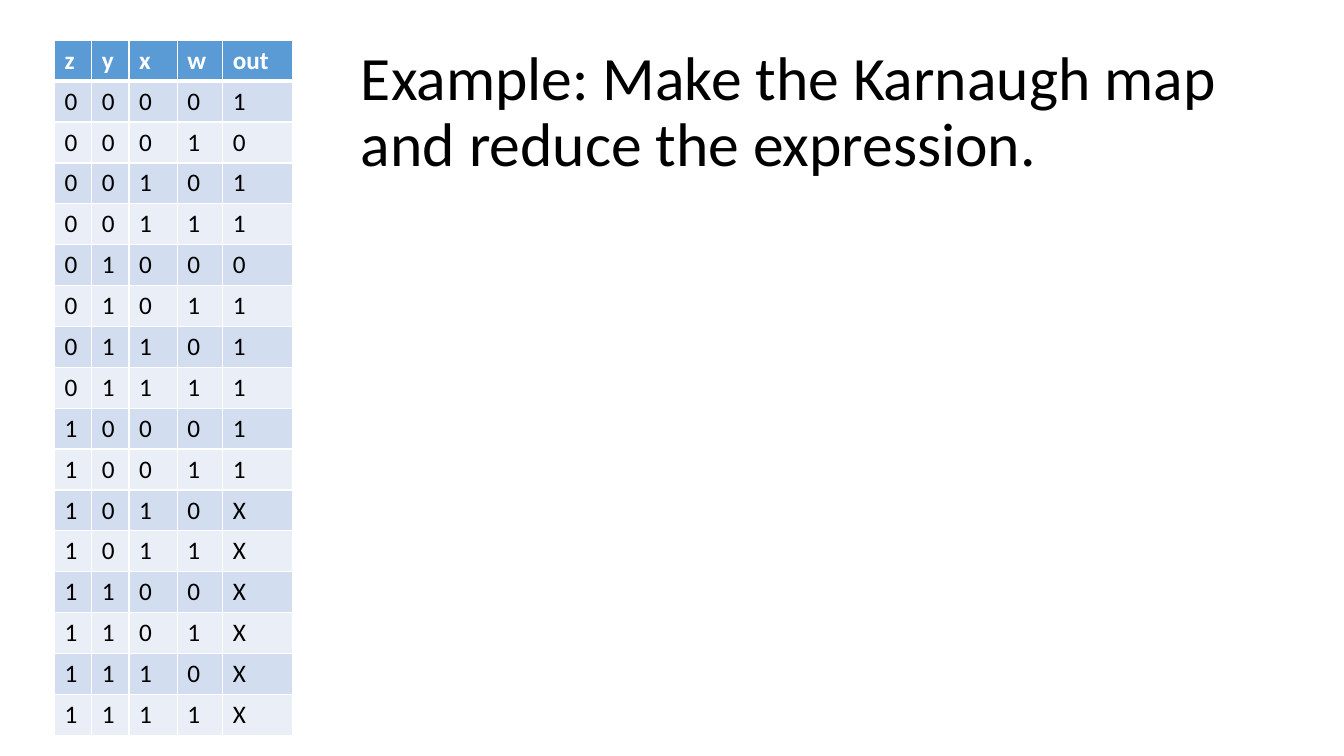
from itertools import product
from lxml.etree import SubElement
from pptx import Presentation
from pptx.dml.color import RGBColor
from pptx.enum.text import MSO_ANCHOR, MSO_AUTO_SIZE, PP_ALIGN
from pptx.oxml.ns import qn
from pptx.util import Inches, Pt

TITLE = "Example: Make the Karnaugh map and reduce the expression."
HEADERS = ["z", "y", "x", "w", "out"]
OUTPUTS = "1011011111XXXXXX"
COLUMN_WIDTHS = [0.37, 0.37, 0.48, 0.45, 0.69]
ROW_HEIGHT = 0.4
HEADER_FILL = "5B9BD5"
BAND_FILLS = ["EAEFF7", "D2DEEF"]
WHITE, BLACK = "FFFFFF", "000000"

truth_rows = [HEADERS] + [
    [*inputs, output] for inputs, output in zip(product("01", repeat=4), OUTPUTS)
]


def color(hex_value):
    return RGBColor.from_string(hex_value)


def format_text(text_frame, size, hex_value, bold=False):
    for paragraph in text_frame.paragraphs:
        for run in paragraph.runs:
            run.font.name = "Calibri"
            run.font.size = Pt(size)
            run.font.bold = bold
            run.font.color.rgb = color(hex_value)


def add_borders(cell, widths):
    properties = cell._tc.get_or_add_tcPr()
    for side in "LRTB":
        line = SubElement(properties, qn(f"a:ln{side}"), w=str(Pt(widths.get(side, 1))))
        fill = SubElement(line, qn("a:solidFill"))
        SubElement(fill, qn("a:srgbClr"), val=WHITE)


presentation = Presentation()
presentation.slide_width = Inches(13.33)
presentation.slide_height = Inches(7.5)
slide = presentation.slides.add_slide(presentation.slide_layouts[5])

title = slide.shapes.title
title.left, title.top = Inches(3.48), Inches(0.4)
title.width, title.height = Inches(8.94), Inches(1.45)
title.text_frame.text = TITLE
title.text_frame.word_wrap = True
title.text_frame.auto_size = MSO_AUTO_SIZE.NONE
title.text_frame.vertical_anchor = MSO_ANCHOR.MIDDLE
title.text_frame.paragraphs[0].alignment = PP_ALIGN.LEFT
title.text_frame.paragraphs[0].line_spacing = 0.9
format_text(title.text_frame, 44, BLACK)

truth_table = slide.shapes.add_table(
    len(truth_rows), len(HEADERS), Inches(0.54), Inches(0.4),
    Inches(sum(COLUMN_WIDTHS)), Inches(ROW_HEIGHT * len(truth_rows)),
).table
for column, width in zip(truth_table.columns, COLUMN_WIDTHS):
    column.width = Inches(width)

header_borders = {0: {"B": 3}, 1: {"T": 3}}
for row_index, values in enumerate(truth_rows):
    is_header = row_index == 0
    truth_table.rows[row_index].height = Inches(ROW_HEIGHT)
    for column_index, value in enumerate(values):
        cell = truth_table.cell(row_index, column_index)
        cell.text_frame.text = value
        format_text(cell.text_frame, 18, WHITE if is_header else BLACK, is_header)
        add_borders(cell, header_borders.get(row_index, {}))
        cell.fill.solid()
        cell.fill.fore_color.rgb = color(HEADER_FILL if is_header else BAND_FILLS[row_index % 2])

presentation.save("out.pptx")
